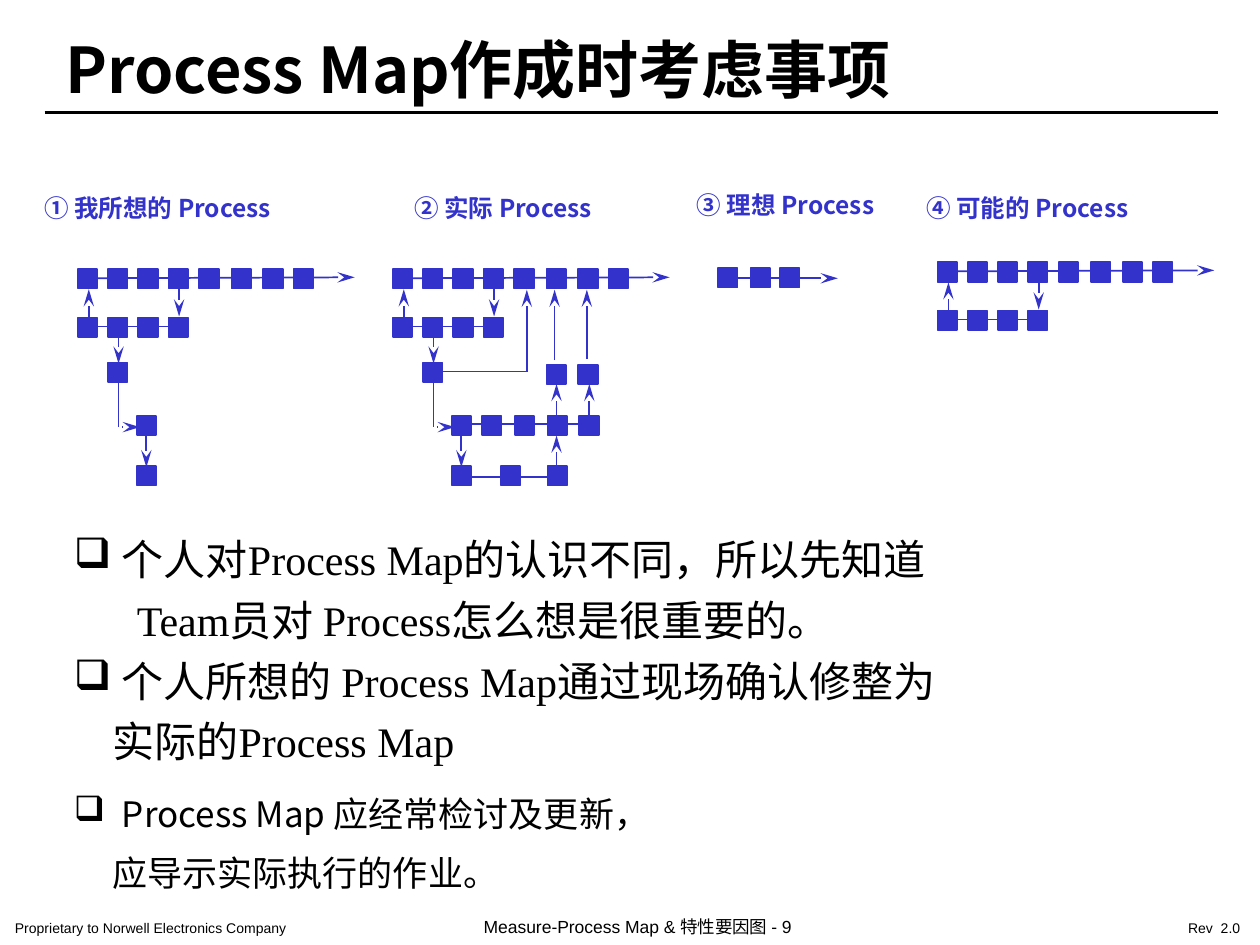
from pptx import Presentation
from pptx.dml.color import RGBColor
from pptx.enum.shapes import MSO_CONNECTOR as Connector, MSO_SHAPE as Shape
from pptx.enum.text import MSO_ANCHOR as Anchor, MSO_AUTO_SIZE as AutoSize, PP_ALIGN as Align
from pptx.oxml.ns import qn
from pptx.util import Cm, Pt
from lxml.etree import SubElement


class Theme:
    ink, blue = "000000", "3333CC"
    cjk, serif, sans = "Noto Sans CJK SC", "Times New Roman", "Arial"
    title, body, note, heading, footer, small = 36, 24, 20, 14, 10, 8
    rule, line = 1.5, 1


# Content: all lengths in centimetres
TITLE = "Process Map作成时考虑事项"
HEADINGS = [  # text, left, top, width
    ("① 我所想的 Process", 0.64, 3.76, 6.65),
    ("② 实际 Process", 8.1, 3.76, 4.8),
    ("③ 理想 Process", 13.79, 3.71, 5.69),
    ("④ 可能的 Process", 18.42, 3.76, 6.15),
]
BODY = [  # text, left margin, bulleted
    ("个人对Process Map的认识不同，所以先知道", 0.97, True),
    ("Team员对 Process怎么想是很重要的。", 1.27, False),
    ("个人所想的 Process Map通过现场确认修整为", 0.97, True),
    ("实际的Process Map", 0.78, False),
]
NOTE = [
    ("Process Map 应经常检讨及更新，", 0.97, True),
    ("应导示实际执行的作业。", 0.78, False),
]
FOOTERS = [  # text, left, top, width, size
    ("Proprietary to Norwell Electronics Company", 0, 18.39, 8.15, Theme.small),
    ("Measure-Process Map & 特性要因图 - 9", 9.45, 18.31, 7.6, Theme.footer),
    ("Rev  2.0", 23.65, 18.39, 1.75, Theme.small),
]

# Flow parts, measured from the corner of each map's first box
BOX = 0.39
COLUMNS = [0, 0.61, 1.22, 1.83, 2.45, 3.1, 3.74, 4.35]
MAIN = {
    "boxes": [(x, 0) for x in COLUMNS],
    "arrows": [(0.26, 0.18, 5.58, 0.16)],
}
LOOP = {
    "boxes": [(x, 0.97) for x in COLUMNS[:4]],
    "links": [(0.2, 1.15, 1.95, 1.15)],
    "arrows": [(0.22, 0.97, 0.22, 0.4), (2.04, 0.38, 2.04, 0.95)],
}
BRANCH = {
    "boxes": [(0.61, 1.88), (1.19, 2.95), (1.19, 3.97)],
    "links": [(0.82, 2.18, 0.82, 3.18)],
    "arrows": [(0.82, 1.37, 0.82, 1.9), (0.89, 3.18, 1.25, 3.18),
               (1.38, 3.33, 1.38, 3.99)],
}
REWORK = {
    "boxes": [(3.1, 1.93), (3.74, 1.93),
              (1.8, 2.95), (2.46, 2.95), (3.12, 2.95), (3.76, 2.95),
              (2.18, 3.97), (3.12, 3.97)],
    "links": [(0.94, 2.06, 2.7, 2.06), (1.4, 3.12, 3.96, 3.12),
              (1.4, 4.19, 3.25, 4.19)],
    "arrows": [(2.7, 2.06, 2.7, 0.41), (3.26, 1.83, 3.26, 0.41),
               (3.91, 1.8, 3.91, 0.41), (3.3, 2.97, 3.3, 2.31),
               (3.96, 2.97, 3.96, 2.31), (3.3, 4.01, 3.3, 3.35)],
}
SHORT = {
    "boxes": [(0, 0), (0.65, 0), (1.25, 0)],
    "arrows": [(0.13, 0.2, 2.41, 0.2)],
}
MAPS = [  # left, top, parts
    (1.57, 5.43, [MAIN, LOOP, BRANCH]),
    (7.92, 5.43, [MAIN, LOOP, BRANCH, REWORK]),
    (14.48, 5.41, [SHORT]),
    (18.9, 5.29, [MAIN, LOOP]),
]


def colour(value):
    return RGBColor.from_string(value)


def style(para, size, font, ink=Theme.ink, bold=False):
    for span in para.runs:
        span.font.size = Pt(size)
        span.font.name = font
        span.font.bold = bold
        span.font.color.rgb = colour(ink)
        SubElement(span.font._element, qn("a:ea"), typeface=Theme.cjk)


def add_text(page, place, paras, size, font, inset=(0.25, 0.13), **look):
    box = page.shapes.add_textbox(*map(Cm, place))
    frame = box.text_frame
    frame.word_wrap = True
    frame.margin_left = frame.margin_right = Cm(inset[0])
    frame.margin_top = frame.margin_bottom = Cm(inset[1])
    frame.text = "\n".join(paras)
    for para in frame.paragraphs:
        style(para, size, font, **look)
    return frame


def add_list(page, place, items, size, font, before, spacing=None):
    frame = add_text(page, place, [text for text, _, _ in items], size, font)
    for para, (_, margin, bulleted) in zip(frame.paragraphs, items):
        para.space_before = Pt(before)
        para.line_spacing = spacing
        props = para._p.get_or_add_pPr()
        props.set("marL", str(Cm(margin)))
        props.set("indent", str(-Cm(margin) if bulleted else 0))
        if bulleted:
            tint = SubElement(props, qn("a:buClr"))
            SubElement(tint, qn("a:srgbClr"), val=Theme.ink)
            SubElement(props, qn("a:buChar"), char="❑")


def add_line(page, ends, ink, width, arrow=False):
    line = page.shapes.add_connector(Connector.STRAIGHT, *map(Cm, ends))
    line.line.color.rgb = colour(ink)
    line.line.width = Pt(width)
    if arrow:
        SubElement(line.line._get_or_add_ln(), qn("a:tailEnd"),
                   type="stealth", w="med", len="lg")
    SubElement(line._element.spPr, qn("a:effectLst"))


def add_part(page, left, top, part):
    for x, y in part["boxes"]:
        box = page.shapes.add_shape(
            Shape.RECTANGLE, Cm(left + x), Cm(top + y), Cm(BOX), Cm(BOX))
        box.shadow.inherit = False
        box.fill.solid()
        box.fill.fore_color.rgb = box.line.color.rgb = colour(Theme.blue)
        box.line.width = Pt(Theme.line)
    for kind in ("links", "arrows"):
        for x1, y1, x2, y2 in part.get(kind, []):
            add_line(page, (left + x1, top + y1, left + x2, top + y2),
                     Theme.blue, Theme.line, arrow=kind == "arrows")


def main():
    deck = Presentation()
    deck.slide_width, deck.slide_height = Cm(25.4), Cm(19.05)
    page = deck.slides.add_slide(deck.slide_layouts[5])

    # Title and rule
    title = page.shapes.title
    title.left, title.top, title.width, title.height = map(Cm, (1.07, 0.65, 18.14, 1.47))
    frame = title.text_frame
    frame.text = TITLE
    frame.auto_size = AutoSize.NONE
    frame.vertical_anchor = Anchor.MIDDLE
    frame.paragraphs[0].alignment = Align.LEFT
    style(frame.paragraphs[0], Theme.title, Theme.cjk, bold=True)
    add_line(page, (0.9, 2.27, 24.56, 2.27), Theme.ink, Theme.rule)

    # Process maps and their headings
    for text, left, top, width in HEADINGS:
        add_text(page, (left, top, width, 0.84), [text], Theme.heading,
                 Theme.cjk, ink=Theme.blue, bold=True)
    for left, top, parts in MAPS:
        for part in parts:
            add_part(page, left, top, part)

    # Considerations
    add_list(page, (1.24, 10.62, 23.6, 5.26), BODY, Theme.body, Theme.serif, 6)
    add_list(page, (1.24, 15.67, 21.89, 2.62), NOTE, Theme.note, Theme.cjk, 5, 1.2)

    # Footer
    for text, left, top, width, size in FOOTERS:
        add_text(page, (left, top, width, 0.64), [text], size, Theme.sans,
                 inset=(0.3, 0.15))

    deck.save("out.pptx")


if __name__ == "__main__":
    main()
